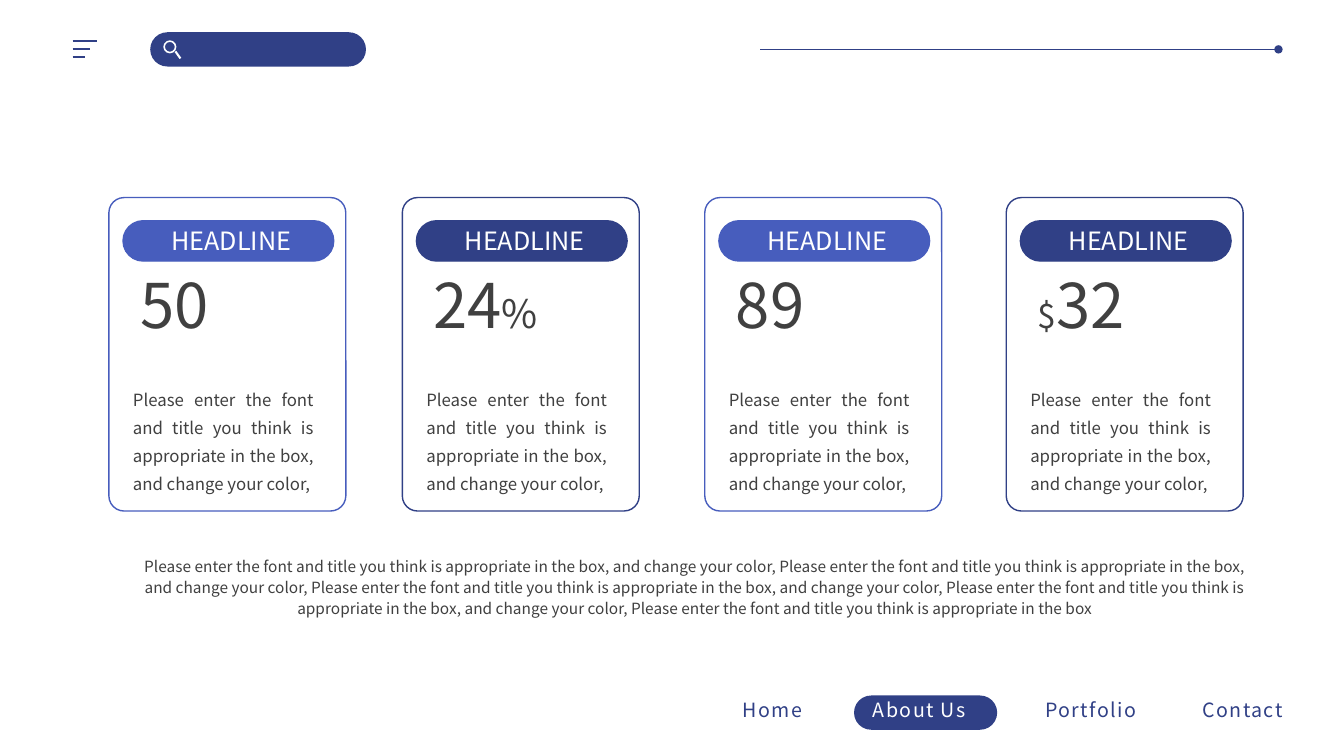
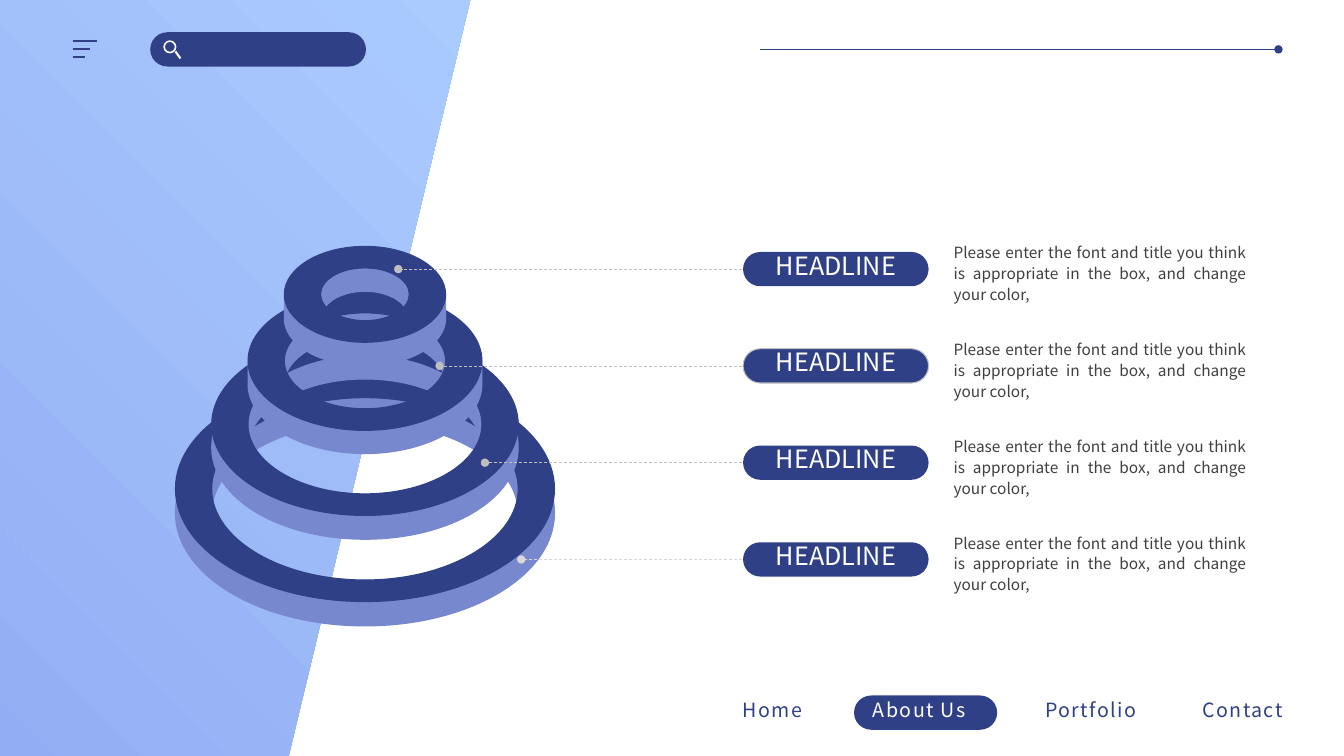
"""Builds two website-style slides: four figure cards, and a stack of rings with labels."""
from lxml import etree
from pptx import Presentation
from pptx import util as u
from pptx.dml.color import RGBColor
from pptx.enum import dml, shapes, text
from pptx.oxml.ns import qn

FONT = "Noto Sans CJK SC"
NAVY, BLUE, LILAC = "304086", "475DBD", "7888CE"
WHITE, DARK, GREY, PALE = "FFFFFF", "404040", "BFBFBF", "D9D9D9"
LEFT, CENTER, JUSTIFY = text.PP_ALIGN.LEFT, text.PP_ALIGN.CENTER, text.PP_ALIGN.JUSTIFY
SHAPE = shapes.MSO_SHAPE

HEADLINE = "HEADLINE"
SENTENCE = "Please enter the font and title you think is appropriate in the box"
BODY = SENTENCE + ", and change your color,"
SUMMARY = " ".join([BODY] * 4 + [SENTENCE])

NAV = [("Home", 7.27, 0.83), ("About Us", 8.56, 1.27),
       ("Portfolio", 10.27, 1.14), ("Contact", 11.83, 1.1)]
ACTIVE = "About Us"
MENU_BARS = [0.24, 0.17, 0.12]

CARDS = [(1.08, BLUE, [("50", 44)]),
         (3.99, NAVY, [("24", 44), ("%", 28)]),
         (6.99, BLUE, [("89", 44)]),
         (9.98, NAVY, [("$", 24), ("32", 44)])]

LABELS = [(3.95, GREY, None), (4.36, GREY, GREY), (4.81, GREY, None), (5.17, PALE, None)]
LABEL_TOP, LABEL_STEP = 2.67, 0.96

AXIS, BAND, FLATNESS = 3.62, 0.36, 0.595


def half_oval(cy, rx, up, low):
    """Return the right half of an oval with different upper and lower heights."""
    k = 0.55
    return [(0, cy - up), (k * rx, cy - up), (rx, cy - k * up), (rx, cy),
            (rx, cy + k * low), (k * rx, cy + low), (0, cy + low)]


RINGS = [
    (4.85, 1.88, [[half_oval(5.09, 1.52, 0.9, 0.81),
                   [(0, 3.9), (1.08, 3.9), (1.59, 4.58), (1.81, 4.79),
                    (1.86, 4.88), (1.88, 4.99), (1.88, 5.09),
                    (1.88, 5.71), (1.04, 6.21), (0, 6.21)]]]),
    (4.21, 1.52, [[half_oval(4.45, 1.16, 0.69, 0.59),
                   [(0, 3.4), (0.95, 3.4), (1.2, 3.95), (1.42, 4.12),
                    (1.49, 4.22), (1.52, 4.33), (1.52, 4.44),
                    (1.52, 4.95), (0.84, 5.35), (0, 5.35)]]]),
    (3.58, 1.16, [[half_oval(3.81, 0.8, 0.47, 0.41),
                   [(0, 2.99), (0.76, 2.99), (1.16, 3.58), (1.16, 3.58),
                    (1.16, 3.58), (1.16, 3.81), (1.16, 3.81),
                    (1.16, 4.19), (0.64, 4.5), (0, 4.5)]]]),
    (2.92, 0.8, [[[(0, 2.65), (0.08, 2.65), (0.16, 2.66), (0.24, 2.68),
                   (0.36, 2.73), (0.44, 2.81), (0.44, 2.91),
                   (0.44, 2.96), (0.42, 3), (0.39, 3.04),
                   (0.32, 2.95), (0.17, 2.89), (0, 2.89)]],
                 [[(0, 3.4), (0.44, 3.4), (0.8, 3.18), (0.8, 2.92),
                   (0.8, 2.92), (0.8, 3.16), (0.8, 3.16),
                   (0.8, 3.42), (0.44, 3.63), (0, 3.63)]]]),
]


def rgb(color):
    """Turn a hex string into a colour."""
    return RGBColor.from_string(color)


def box(*lengths):
    """Turn plain numbers into inches."""
    return [u.Inches(n) for n in lengths]


def paint(sp, fill=None, line=None, width=0.75):
    """Set fill and outline, and drop the shadow."""
    sp.shadow.inherit = False
    if fill:
        sp.fill.solid()
        sp.fill.fore_color.rgb = rgb(fill)
    else:
        sp.fill.background()
    if line:
        sp.line.color.rgb = rgb(line)
        sp.line.width = u.Pt(width)
    else:
        sp.line.fill.background()


def add_preset(s, kind, at, fill=None, line=None, adj=0.5, width=0.75):
    """Add a preset shape with one adjustment."""
    sp = s.shapes.add_shape(kind, *box(*at))
    sp.adjustments[0] = adj
    paint(sp, fill, line, width)
    return sp


def add_line(s, start, end, color, width, dashed=False, dot=False):
    """Add a straight line, if wanted dashed or ending in a dot."""
    ln = s.shapes.add_connector(shapes.MSO_CONNECTOR.STRAIGHT, *box(*start, *end))
    ln.line.color.rgb = rgb(color)
    ln.line.width = u.Pt(width)
    if dashed:
        ln.line.dash_style = dml.MSO_LINE.DASH
    spPr = ln._element.spPr
    if dot:
        etree.SubElement(spPr.find(qn("a:ln")), qn("a:tailEnd"), type="oval")
    etree.SubElement(spPr, qn("a:effectLst"))


def add_text(s, at, parts, color=DARK, align=LEFT, leading=None, wrap=True, spacing=None):
    """Add a one-paragraph text box made of (text, size) parts."""
    tf = s.shapes.add_textbox(*box(*at)).text_frame
    tf.word_wrap = wrap
    tf.auto_size = text.MSO_AUTO_SIZE.SHAPE_TO_FIT_TEXT
    p = tf.paragraphs[0]
    p.alignment = align
    if leading:
        p.line_spacing = u.Pt(leading)
    for words, size in parts:
        r = p.add_run()
        r.text = words
        r.font.size, r.font.name, r.font.color.rgb = u.Pt(size), FONT, rgb(color)
        rPr = r._r.get_or_add_rPr()
        etree.SubElement(rPr, qn("a:ea"), typeface=FONT)
        if spacing:
            rPr.set("spc", str(spacing))


def mirror(half):
    """Complete a half contour with its reflection in the axis."""
    return [box(AXIS + x, y) for x, y in half + [(-x, y) for x, y in half[-2::-1]]]


def add_outline(s, contours, color):
    """Add one freeform of mirrored contours, each three points being one curve."""
    first, *rest = [mirror(c) for c in contours]
    fb = s.shapes.build_freeform(*first[0])
    fb.add_line_segments(first[1:], close=True)
    for points in rest:
        fb.move_to(*points[0])
        fb.add_line_segments(points[1:], close=True)
    sp = fb.convert_to_shape()
    steps = list(sp._element.iter(qn("a:lnTo")))
    for i in range(0, len(steps), 3):
        curve = etree.Element(qn("a:cubicBezTo"))
        steps[i].addprevious(curve)
        for step in steps[i:i + 3]:
            curve.append(step[0])
            step.getparent().remove(step)
    paint(sp, color, color)


def add_frame(s):
    """Add the menu, search bar, top rule and navigation."""
    add_preset(s, SHAPE.ROUNDED_RECTANGLE, (1.49, 0.32, 2.14, 0.34), NAVY)
    add_preset(s, SHAPE.DONUT, (1.62, 0.4, 0.13, 0.13), WHITE, adj=0.125)
    add_line(s, (1.74, 0.51), (1.79, 0.58), WHITE, 1.5)
    for i, length in enumerate(MENU_BARS):
        y = 0.41 + 0.08 * i
        add_line(s, (0.72, y), (0.72 + length, y), NAVY, 1.5)
    add_line(s, (7.54, 0.49), (12.68, 0.49), NAVY, 0.5, dot=True)
    add_preset(s, SHAPE.ROUNDED_RECTANGLE, (8.47, 6.9, 1.42, 0.34), NAVY)
    for name, x, w in NAV:
        add_text(s, (x, 6.87, w, 0.34), [(name, 14)], WHITE if name == ACTIVE else NAVY,
                 wrap=False, spacing=100)


def add_cards(s):
    """Add the four figure cards and the summary."""
    for x, color, figure in CARDS:
        add_preset(s, SHAPE.ROUNDED_RECTANGLE, (x + 0.14, 2.19, 2.09, 0.4), color, color, width=1)
        add_preset(s, SHAPE.ROUNDED_RECTANGLE, (x, 1.96, 2.35, 3.11), None, color, 0.064, 1)
        add_text(s, (x + 0.14, 3.74, 1.99, 1.19), [(BODY, 12)], align=JUSTIFY, leading=20)
        add_text(s, (x + 0.21, 2.6, 2.21, 0.84), figure, align=JUSTIFY)
        add_text(s, (x + 0.11, 2.19, 2.21, 0.4), [(HEADLINE, 18)], WHITE, CENTER)
    add_text(s, (1.29, 5.45, 11.21, 0.93), [(SUMMARY, 11)], align=CENTER, leading=15)


def add_backdrop(s):
    """Add the slanted gradient panel."""
    sp = add_preset(s, SHAPE.PARALLELOGRAM, (-3.53, -0.11, 8.22, 8.56), LILAC, adj=0.25)
    sp.fill.gradient()
    sp.fill.gradient_angle = 45
    for stop, color in zip(sp.fill.gradient_stops, ("8BA2F0", "AACBFE")):
        stop.color.rgb = rgb(color)


def add_rings(s):
    """Stack the rings from the widest up, walls below faces."""
    for cy, radius, walls in RINGS:
        for wall in walls:
            add_outline(s, wall, LILAC)
        face = [half_oval(cy, rx, rx * FLATNESS, rx * FLATNESS) for rx in (radius - BAND, radius)]
        add_outline(s, face, NAVY)


def add_labels(s):
    """Add a leader, a headline pill and a text for each ring."""
    for i, (tip, color, border) in enumerate(LABELS):
        y = LABEL_TOP + LABEL_STEP * i
        add_text(s, (9.36, y - 0.33, 3.1, 0.73), [(BODY, 11)], align=JUSTIFY, leading=15)
        add_line(s, (7.41, y), (tip, y), color, 0.5, dashed=True, dot=True)
        add_preset(s, SHAPE.ROUNDED_RECTANGLE, (7.37, y - 0.17, 1.84, 0.34), NAVY, border)
        add_text(s, (7.45, y - 0.24, 1.68, 0.4), [(HEADLINE, 18)], WHITE, CENTER)


def main():
    """Build and save the slides."""
    prs = Presentation()
    prs.slide_width, prs.slide_height = box(13.33, 7.5)
    for parts in ([add_frame, add_cards], [add_backdrop, add_rings, add_frame, add_labels]):
        s = prs.slides.add_slide(prs.slide_layouts[6])
        for part in parts:
            part(s)
    prs.save("out.pptx")


if __name__ == "__main__":
    main()
